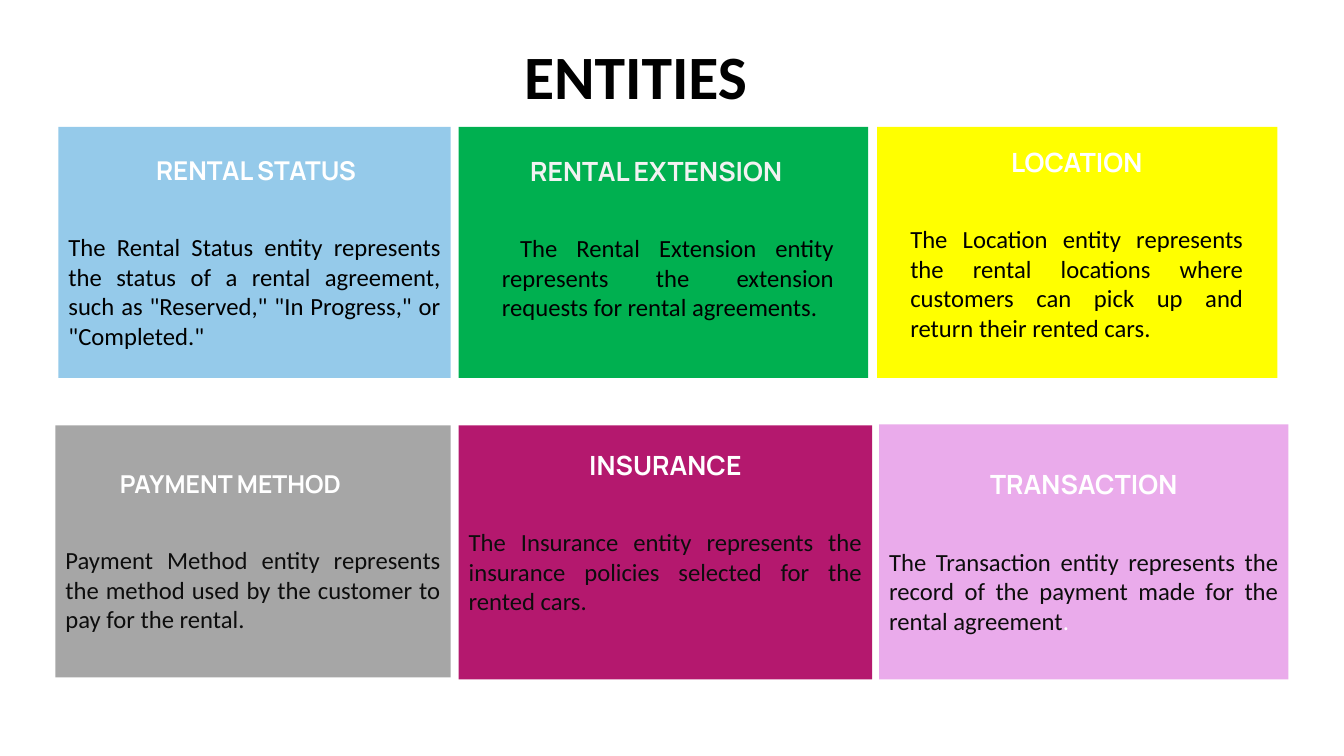
import pptx
import pptx.util
import pptx.dml.color
import pptx.enum.shapes
import pptx.enum.text

Inches = pptx.util.Inches
Pt = pptx.util.Pt
RGBColor = pptx.dml.color.RGBColor
ALIGN = pptx.enum.text.PP_ALIGN
ANCHOR = pptx.enum.text.MSO_ANCHOR

BLACK = RGBColor(0x00, 0x00, 0x00)
INK = RGBColor(0x0D, 0x0D, 0x0D)
WHITE = RGBColor(0xFF, 0xFF, 0xFF)
PALE = RGBColor(0xF2, 0xF2, 0xF2)
BLUE = RGBColor(0x95, 0xCA, 0xEA)
GREEN = RGBColor(0x00, 0xB0, 0x50)
YELLOW = RGBColor(0xFF, 0xFF, 0x00)
GRAY = RGBColor(0xA6, 0xA6, 0xA6)
PLUM = RGBColor(0xB4, 0x18, 0x6E)
PINK = RGBColor(0xEA, 0xAB, 0xEB)


def add_card(slide, box, color):
    card = slide.shapes.add_shape(
        pptx.enum.shapes.MSO_SHAPE.RECTANGLE, *map(Inches, box))
    card.shadow.inherit = False
    card.fill.solid()
    card.fill.fore_color.rgb = color
    card.line.fill.background()
    card.text_frame.vertical_anchor = ANCHOR.MIDDLE
    return card


def add_box(slide, box):
    label = slide.shapes.add_textbox(*map(Inches, box))
    label.text_frame.word_wrap = True
    return label


def style(para, font, size, color, bold=False):
    for run in para.runs:
        run.font.name = font
        run.font.size = Pt(size)
        run.font.color.rgb = color
        run.font.bold = bold


def indent(para, width):
    """Shift the first line of a paragraph to the right."""
    para._p.get_or_add_pPr().set("indent", str(Inches(width)))


def write(shape, head, body, ink=INK, tint=WHITE, size=18.9, shift=None):
    """Set a heading over a justified text; shift makes the heading left-aligned."""
    frame = shape.text_frame
    frame.word_wrap = True
    title = frame.paragraphs[0]
    title.text = head
    title.space_after = Pt(33)
    if shift is None:
        title.alignment = ALIGN.CENTER
    else:
        title.alignment = ALIGN.LEFT
        indent(title, shift)
    style(title, "Manrope", size, tint, True)
    text = frame.add_paragraph()
    text.text = body
    text.alignment = ALIGN.JUSTIFY
    style(text, "Calibri", 17.6, ink)
    return text


def main():
    deck = pptx.Presentation()
    deck.slide_width = Inches(13.33)
    deck.slide_height = Inches(7.5)
    slide = deck.slides.add_slide(deck.slide_layouts[6])

    title = add_box(slide, (3.43, 0.33, 5.75, 0.84)).text_frame.paragraphs[0]
    title.text = "ENTITIES"
    title.alignment = ALIGN.CENTER
    style(title, "Calibri", 44, BLACK, True)

    status = add_card(slide, (0.58, 1.26, 3.89, 2.49), BLUE)
    write(status, "RENTAL STATUS",
          "The Rental Status entity represents the status of a rental agreement, "
          'such as "Reserved," "In Progress," or "Completed."',
          ink=BLACK, size=18.5, shift=0.87)

    add_card(slide, (4.55, 1.26, 4.06, 2.49), GREEN)
    text = write(add_box(slide, (4.88, 1.49, 3.49, 1.8)), "RENTAL EXTENSION",
                 "The Rental Extension entity represents the extension requests "
                 "for rental agreements.",
                 ink=BLACK, tint=PALE, shift=0.28)
    indent(text, 0.18)

    add_card(slide, (8.7, 1.26, 3.97, 2.49), YELLOW)
    write(add_box(slide, (8.93, 1.4, 3.5, 2.12)), "LOCATION",
          "The Location entity represents the rental locations where customers "
          "can pick up and return their rented cars.", ink=BLACK)

    payment = add_card(slide, (0.55, 4.22, 3.92, 2.5), GRAY)
    write(payment, "PAYMENT METHOD",
          "Payment Method entity represents the method used by the customer "
          "to pay for the rental.", size=17.6, shift=0.54)

    cover = add_card(slide, (4.55, 4.22, 4.1, 2.52), PLUM)
    cover.text_frame.margin_bottom = Inches(0.45)
    write(cover, "INSURANCE",
          "The Insurance entity represents the insurance policies selected "
          "for the rented cars.")

    deal = add_card(slide, (8.72, 4.21, 4.06, 2.53), PINK)
    text = write(deal, "TRANSACTION",
                 "The Transaction entity represents the record of the payment "
                 "made for the rental agreement")
    stop = text.add_run()
    stop.text = "."
    style(text, "Calibri", 17.6, INK)
    stop.font.color.rgb = WHITE

    deck.save("out.pptx")


if __name__ == "__main__":
    main()
